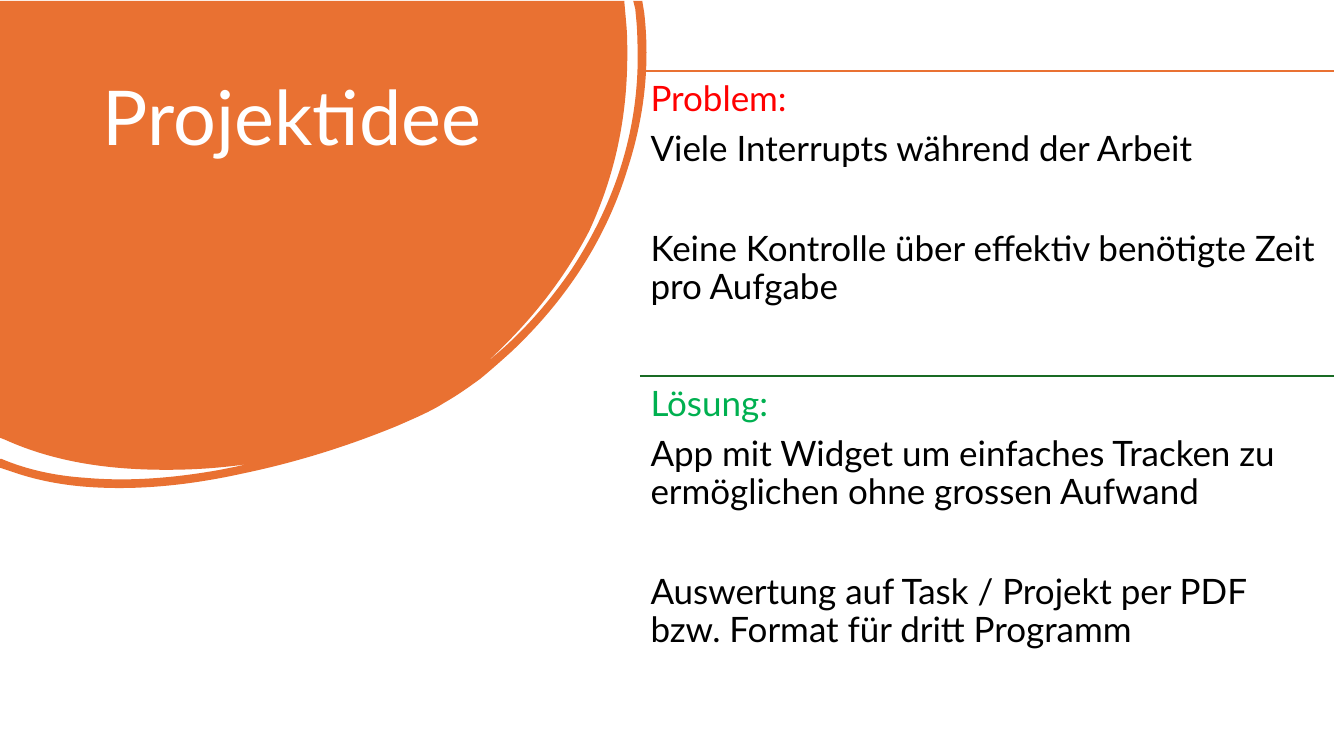
"""Build the slide "Projektidee" with its problem and its solution."""
from math import cos, radians, sin

from pptx import Presentation
from pptx.dml.color import RGBColor
from pptx.enum.shapes import MSO_CONNECTOR
from pptx.enum.text import MSO_ANCHOR, MSO_AUTO_SIZE, PP_ALIGN
from pptx.oxml.ns import qn
from pptx.util import Pt
from lxml.etree import SubElement

SCALE = 914400 / 100.8
ORANGE = "E97132"
BLOB_ANGLE = 148.1
PIVOT_X, PIVOT_Y = 279, 166
BLOB_EDGES = [
    (624, 0), (626, 23),
    (627, 33, 627, 44, 627, 54), (627, 116, 615, 174, 589, 230),
    (563, 280, 529, 322, 489, 359), (490, 359, 492, 357, 493, 356),
    (523, 331, 549, 301, 571, 269), (617, 199, 641, 122, 637, 38),
    (637, 28, 636, 18, 635, 8),
    (633, 0), (642, 0), (644, 12),
    (650, 65, 644, 117, 627, 169), (605, 240, 565, 300, 511, 351),
    (501, 360, 491, 369, 480, 378), (469, 386, 458, 394, 444, 402),
    (430, 411, 413, 418, 397, 425), (346, 446, 294, 462, 241, 473),
    (191, 484, 138, 490, 86, 486), (60, 484, 35, 479, 12, 471),
    (0, 467), (0, 458), (1, 458),
    (27, 469, 55, 475, 85, 477), (130, 481, 175, 477, 220, 469),
    (225, 468, 230, 467, 235, 466), (239, 465, 244, 464, 249, 463),
    (222, 467, 195, 469, 166, 469), (111, 469, 56, 462, 5, 439),
    (0, 437),
]
SECTIONS = [
    ("Problem:", "FF0000", ORANGE,
     ["Viele Interrupts während der Arbeit",
      "Keine Kontrolle über effektiv benötigte Zeit pro Aufgabe"]),
    ("Lösung:", "00B050", "196B24",
     ["App mit Widget um einfaches Tracken zu ermöglichen ohne grossen Aufwand",
      "Auswertung auf Task / Projekt per PDF bzw. Format für dritt Programm"]),
]
SECTION_LEFT, SECTION_TOP, SECTION_WIDTH, SECTION_HEIGHT = 640, 71, 694, 305
FRAME_FORMAT = {"word_wrap": True, "auto_size": MSO_AUTO_SIZE.NONE,
                "vertical_anchor": MSO_ANCHOR.TOP}
PARAGRAPH_FORMAT = {"alignment": PP_ALIGN.LEFT, "line_spacing": 0.9,
                    "space_before": Pt(0)}
GAP, WIDE_GAP = Pt(8.75), Pt(44.5)


def px(length):
    return round(length * SCALE)


def rgb(code):
    return RGBColor.from_string(code)


deck = Presentation()
deck.slide_width, deck.slide_height = px(1344), px(756)
slide = deck.slides.add_slide(deck.slide_layouts[3])
heading, *bodies = slide.placeholders

cosine, sine = cos(radians(BLOB_ANGLE)), sin(radians(BLOB_ANGLE))
unrotated_edges = []
for edge in [(0, 0), *BLOB_EDGES]:
    offsets = [(x - PIVOT_X, y - PIVOT_Y) for x, y in zip(edge[::2], edge[1::2])]
    unrotated_edges.append([(px(PIVOT_X + x * cosine + y * sine),
                             px(PIVOT_Y - x * sine + y * cosine)) for x, y in offsets])
start, *edges = unrotated_edges
builder = slide.shapes.build_freeform(*start[0])
builder.add_line_segments([edge[-1] for edge in edges], close=True)
blob = builder.convert_to_shape()
segments = list(blob.element.iter(qn("a:lnTo")))
for segment, edge in zip(segments, edges):
    if len(edge) == 3:
        curve = segment.makeelement(qn("a:cubicBezTo"))
        for x, y in edge:
            SubElement(curve, qn("a:pt"), x=str(x - blob.left), y=str(y - blob.top))
        segment.getparent().replace(segment, curve)
blob.rotation = BLOB_ANGLE
blob.shadow.inherit = False
blob.fill.solid()
blob.fill.fore_color.rgb = rgb(ORANGE)
blob.line.fill.background()
heading.element.addprevious(blob.element)

contents = [(heading, (93, 75, 402, 266), (px(10), px(5)),
             [("Projektidee", "FFFFFF", 54, Pt(0))])]
for index, (label, label_color, rule_color, points) in enumerate(SECTIONS):
    top = SECTION_TOP + index * SECTION_HEIGHT
    rule = slide.shapes.add_connector(
        MSO_CONNECTOR.STRAIGHT, px(SECTION_LEFT), px(top),
        px(SECTION_LEFT + SECTION_WIDTH), px(top))
    rule.line.color.rgb = rgb(rule_color)
    rule.line.width = Pt(1.5)
    SubElement(rule.element.spPr, qn("a:effectLst"))
    bodies[index].element.addprevious(rule.element)
    first, second = points
    contents.append((bodies[index], (SECTION_LEFT, top, SECTION_WIDTH, SECTION_HEIGHT),
                     (Pt(7.5), Pt(7.5)),
                     [(label, label_color, 25, GAP), (first, "000000", 25, WIDE_GAP),
                      (second, "000000", 25, GAP)]))

for holder, box, (side_inset, end_inset), lines in contents:
    for side, length in zip(("left", "top", "width", "height"), box):
        setattr(holder, side, px(length))
    frame = holder.text_frame
    insets = {"margin_left": side_inset, "margin_right": side_inset,
              "margin_top": end_inset, "margin_bottom": end_inset}
    for key, value in {**FRAME_FORMAT, **insets}.items():
        setattr(frame, key, value)
    frame.text = "\n".join(text for text, *_ in lines)
    for paragraph, (_, color, size, gap) in zip(frame.paragraphs, lines):
        for key, value in {**PARAGRAPH_FORMAT, "space_after": gap}.items():
            setattr(paragraph, key, value)
        properties = paragraph._p.get_or_add_pPr()
        properties.set("marL", "0")
        properties.set("indent", "0")
        SubElement(properties, qn("a:buNone"))
        font = paragraph.runs[0].font
        for key, value in {"name": "Lato", "size": Pt(size)}.items():
            setattr(font, key, value)
        font.color.rgb = rgb(color)

deck.save("out.pptx")
